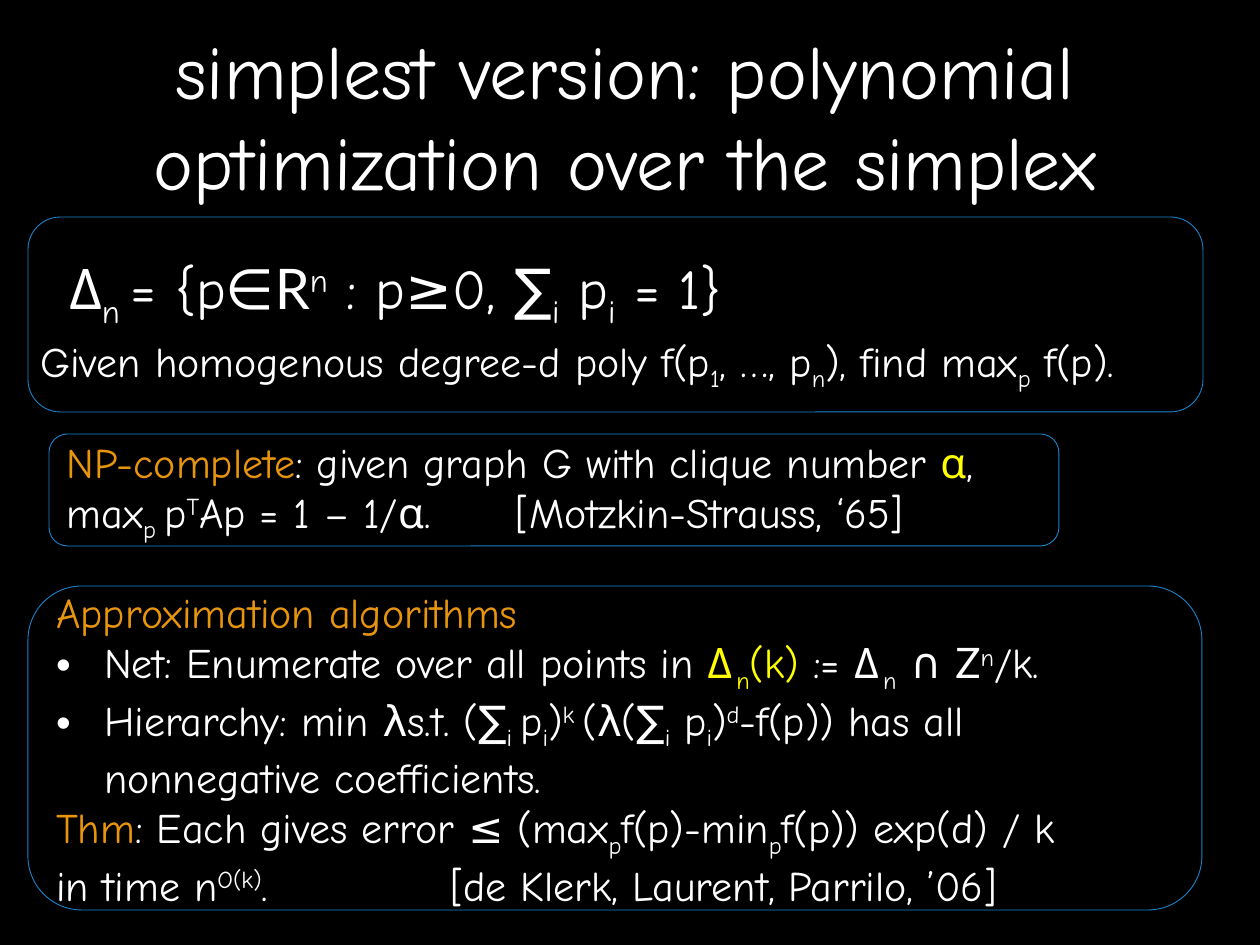
from lxml.etree import SubElement
from pptx import Presentation
from pptx.dml.color import RGBColor
from pptx.enum.shapes import MSO_SHAPE
from pptx.enum.text import MSO_ANCHOR, MSO_AUTO_SIZE, PP_ALIGN
from pptx.oxml.ns import qn
from pptx.util import Emu, Pt

BLACK = RGBColor(0x00, 0x00, 0x00)
WHITE = RGBColor(0xFF, 0xFF, 0xFF)
BLUE = RGBColor(0x18, 0x84, 0xCD)
ORANGE = RGBColor(0xE8, 0x95, 0x0E)
YELLOW = RGBColor(0xFF, 0xFF, 0x00)
HAND, PLAIN = "Comic Neue", "Lato"

SUB = {"baseline": -25}
SUP = {"baseline": 30}
SANS = {"name": PLAIN}
HEAD = {"color": ORANGE}
MARK = {"color": YELLOW}
MARK_SUB = {**MARK, **SUB}


def px(length):
    return Emu(round(length * 914400 / 126))


def write(paragraph, pieces, size):
    paragraph.alignment = PP_ALIGN.LEFT
    for piece in pieces:
        text, style = piece if isinstance(piece, tuple) else (piece, {})
        for number, line in enumerate(text.split("\n")):
            if number:
                paragraph.add_line_break()
            run = paragraph.add_run()
            run.text = line
            for key, value in {"size": Pt(size), "name": style.get("name", HAND)}.items():
                setattr(run.font, key, value)
            run.font.color.rgb = style.get("color", WHITE)
            if "baseline" in style:
                run.font._element.set("baseline", str(style["baseline"] * 1000))


deck = Presentation()
deck.slide_width, deck.slide_height = px(1260), px(945)
slide = deck.slides.add_slide(deck.slide_layouts[5])
slide.background.fill.solid()
slide.background.fill.fore_color.rgb = BLACK

title = slide.shapes.title
for key, value in {"left": 49, "top": 16, "width": 1152, "height": 197}.items():
    setattr(title, key, px(value))
for key, value in {"auto_size": MSO_AUTO_SIZE.NONE, "vertical_anchor": MSO_ANCHOR.MIDDLE}.items():
    setattr(title.text_frame, key, value)
heading = title.text_frame.paragraphs[0]
write(heading, ["simplest version: polynomial optimization over the simplex"], 43.2)
heading.alignment = PP_ALIGN.CENTER

simplex = ["Δ", ("n ", SUB), "= {p∈", ("R", SANS), ("n", SUP), " : p≥0, ∑", ("i", SUB),
           " p", ("i", SUB), " = 1}"]
problem = ["Given homogenous degree-d poly f(p", ("1", SUB), ", …, p", ("n", SUB),
           "), find max", ("p", SUB), " f(p)."]
for place, pieces, size in [((57, 247, 736, 81), simplex, 32), ((28, 329, 1197, 63), problem, 24)]:
    frame = slide.shapes.add_textbox(*map(px, place)).text_frame
    frame.word_wrap = False
    write(frame.paragraphs[0], pieces, size)

hardness = [
    [("NP-complete", HEAD), ": given graph G with clique number ", ("α", MARK), ","],
    ["max", ("p ", SUB), "p", ("T", SUP), "Ap = 1 – 1/α.\t[Motzkin-Strauss, ‘65]"],
]
approximation = [
    [("Approximation algorithms", HEAD)],
    ["Net: Enumerate over all points in ", ("Δ", MARK), ("n", MARK_SUB), ("(k)", MARK),
     " := Δ", ("n", SUB), " ∩ ", ("Z", SANS), ("n", SUP), "/k."],
    ["Hierarchy: min λs.t. (∑", ("i ", SUB), "p", ("i", SUB), ")", ("k ", SUP), "(λ(∑", ("i", SUB),
     " p", ("i", SUB), ")", ("d", SUP), "-f(p)) has all\nnonnegative coefficients."],
    [("Thm", HEAD), ": Each gives error ≤ (max", ("p", SUB), "f(p)-min", ("p", SUB),
     "f(p)) exp(d) / k\nin time n", ("O(k)", SUP), ".\t[de Klerk, Laurent, Parrilo, ’06]"],
]
panels = [
    ((28, 217, 1175, 195), [], 0, ()),
    ((49, 434, 1010, 112), hardness, 449, ()),
    ((28, 586, 1174, 324), approximation, 394, (1, 2)),
]
for place, lines, citation_tab, bulleted in panels:
    panel = slide.shapes.add_shape(MSO_SHAPE.ROUNDED_RECTANGLE, *map(px, place))
    panel.shadow.inherit = False
    panel.fill.background()
    panel.line.color.rgb = BLUE
    panel.line.width = Pt(0.5)
    frame = panel.text_frame
    for key, value in {"word_wrap": True, "vertical_anchor": MSO_ANCHOR.MIDDLE}.items():
        setattr(frame, key, value)
    for number, pieces in enumerate(lines):
        paragraph = frame.add_paragraph() if number else frame.paragraphs[0]
        write(paragraph, pieces, 24)
        properties = paragraph._p.get_or_add_pPr()
        if number in bulleted:
            for key, value in {"marL": px(48), "indent": -px(48)}.items():
                properties.set(key, str(value))
            SubElement(properties, qn("a:buFont")).set("typeface", "Arial")
            SubElement(properties, qn("a:buChar")).set("char", "•")
        elif number == len(lines) - 1:
            tabs = SubElement(properties, qn("a:tabLst"))
            tab = SubElement(tabs, qn("a:tab"))
            for key, value in {"pos": px(citation_tab), "algn": "l"}.items():
                tab.set(key, str(value))

deck.save("out.pptx")
